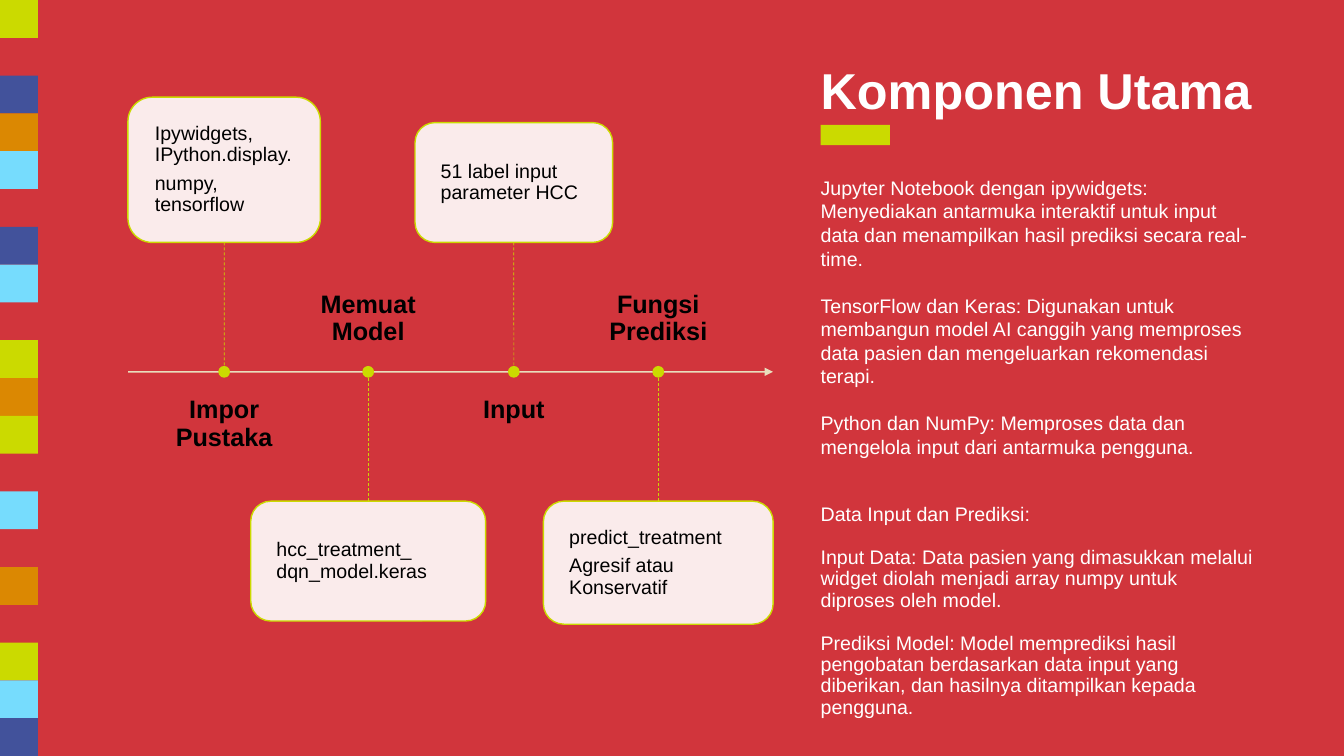
import pptx
import pptx.util
import pptx.dml.color
import pptx.enum.dml
import pptx.enum.shapes
import pptx.enum.text
import pptx.oxml
import pptx.oxml.ns
from lxml import etree

Cm, Pt = pptx.util.Cm, pptx.util.Pt
SHAPE = pptx.enum.shapes.MSO_SHAPE
ALIGN = pptx.enum.text.PP_ALIGN
ANCHOR = pptx.enum.text.MSO_ANCHOR
qn = pptx.oxml.ns.qn

# Content
COLORS = {"red": "D1353C", "lime": "CBDA00", "blue": "42529B", "orange": "DB8802",
          "cyan": "76DCFD", "cream": "ECF1CC", "white": "FFFFFF", "black": "000000"}
TITLE = "Komponen Utama"
# (text, line spacing, space before in points)
BODY = [
    ("Jupyter Notebook dengan ipywidgets: Menyediakan antarmuka interaktif untuk input "
     "data dan menampilkan hasil prediksi secara real-time.", 1.0, 0),
    ("TensorFlow dan Keras: Digunakan untuk membangun model AI canggih yang memproses "
     "data pasien dan mengeluarkan rekomendasi terapi.", 1.0, 16.8),
    ("Python dan NumPy: Memproses data dan mengelola input dari antarmuka pengguna.", 1.0, 16.8),
    ("Data Input dan Prediksi:", 0.9, 32.8),
    ("Input Data: Data pasien yang dimasukkan melalui widget diolah menjadi array numpy "
     "untuk diproses oleh model.", 0.9, 16),
    ("Prediksi Model: Model memprediksi hasil pengobatan berdasarkan data input yang "
     "diberikan, dan hasilnya ditampilkan kepada pengguna.", 0.9, 16),
]
# (label, card lines, centre x, card width, card height), cards alternate above and below
STEPS = [
    ("Impor Pustaka", ["Ipywidgets, IPython.display.", "numpy, tensorflow"], 5.65, 4.85, 3.66),
    ("Memuat Model", ["hcc_treatment_ dqn_model.keras"], 9.28, 5.92, 3.02),
    ("Input", ["51 label input parameter HCC"], 12.95, 4.98, 3.02),
    ("Fungsi Prediksi", ["predict_treatment", "Agresif atau Konservatif"], 16.59, 5.79, 3.1),
]
# None lets the background show
STRIPE = ["lime", None, "blue", "orange", "cyan", None, "blue", "cyan", None, "lime",
          "orange", "lime", None, "cyan", None, "orange", None, "lime", "cyan", "blue"]

# Layout in centimetres
SLIDE_W, SLIDE_H = 33.87, 19.05
SQUARE = SLIDE_H / len(STRIPE)
AXIS_LEFT, AXIS_RIGHT, AXIS_Y = 3.23, 19.48, 9.37
CARD_GAP, LABEL_GAP = 3.26, 0.64
LABEL_W, LABEL_H, DOT = 3.71, 1.93, 0.26
COLUMN_X, COLUMN_W = 20.68, 10.92


def rgb(name):
    return pptx.dml.color.RGBColor.from_string(COLORS[name])


def set_alpha(fill_owner, percent):
    color = next(fill_owner.iter(qn("a:srgbClr")))
    etree.SubElement(color, qn("a:alpha")).set("val", str(percent * 1000))


def write(s, paragraphs, size, color, bold=False, align=ALIGN.LEFT, anchor=ANCHOR.TOP, inset=0):
    """Fill a shape with (text, line spacing, space before) paragraphs."""
    tf = s.text_frame
    tf.word_wrap = True
    tf.auto_size = pptx.enum.text.MSO_AUTO_SIZE.NONE
    tf.vertical_anchor = anchor
    tf.margin_left = tf.margin_top = tf.margin_right = tf.margin_bottom = Cm(inset)
    for i, (text, spacing, before) in enumerate(paragraphs):
        p = tf.add_paragraph() if i else tf.paragraphs[0]
        p.alignment = align
        p.line_spacing, p.space_before, p.space_after = spacing, Pt(before), Pt(0)
        if s.is_placeholder:
            pPr = p._p.get_or_add_pPr()
            pPr.set("marL", "0")
            pPr.set("indent", "0")
            etree.SubElement(pPr, qn("a:buNone"))
        r = p.add_run()
        r.text = text
        r.font.name, r.font.size, r.font.bold = "Arial", Pt(size), bold
        r.font.color.rgb = rgb(color)


def place(s, x, y, w, h):
    s.left, s.top, s.width, s.height = Cm(x), Cm(y), Cm(w), Cm(h)


def add_shape(kind, x, y, w, h, fill, line=None):
    s = slide.shapes.add_shape(kind, Cm(x), Cm(y), Cm(w), Cm(h))
    s.shadow.inherit = False
    s.fill.solid()
    s.fill.fore_color.rgb = rgb(fill)
    if line:
        s.line.color.rgb = rgb(line)
        s.line.width = Pt(1)
    else:
        s.line.fill.background()
    return s


def add_line(x1, y1, x2, y2, color, width):
    s = slide.shapes.add_connector(pptx.enum.shapes.MSO_CONNECTOR.STRAIGHT,
                                   Cm(x1), Cm(y1), Cm(x2), Cm(y2))
    s.line.color.rgb = rgb(color)
    s.line.width = Pt(width)
    etree.SubElement(s._element.spPr, qn("a:effectLst"))
    return s


prs = pptx.Presentation()
prs.slide_width, prs.slide_height = Cm(SLIDE_W), Cm(SLIDE_H)
slide = prs.slides.add_slide(prs.slide_layouts[1])
slide.background.fill.solid()
slide.background.fill.fore_color.rgb = rgb("red")

# Colour stripe and title accent
for i, color in enumerate(STRIPE):
    if color:
        add_shape(SHAPE.RECTANGLE, 0, i * SQUARE, SQUARE, SQUARE, color)
add_shape(SHAPE.RECTANGLE, COLUMN_X, 3.15, 1.75, 0.51, "lime")

# Title and body
title, body = slide.shapes.title, slide.placeholders[1]
place(title, COLUMN_X, 1.78, COLUMN_W, 1.3)
write(title, [(TITLE, 0.8, 0)], 36, "white", bold=True)
place(body, COLUMN_X, 4.43, COLUMN_W, 14.1)
write(body, BODY, 14, "white")

# Timeline axis
axis = add_line(AXIS_LEFT, AXIS_Y, AXIS_RIGHT, AXIS_Y, "cream", 1)
set_alpha(axis.line._ln, 90)
etree.SubElement(axis.line._ln, qn("a:tailEnd")).set("type", "triangle")

# Steps: card, dashed link, dot and label
for i, (label, lines, x, w, h) in enumerate(STEPS):
    above = i % 2 == 0
    card_y = AXIS_Y - CARD_GAP - h if above else AXIS_Y + CARD_GAP
    card = add_shape(SHAPE.ROUNDED_RECTANGLE, x - w / 2, card_y, w, h, "white", "lime")
    set_alpha(card._element.spPr.find(qn("a:solidFill")), 90)
    write(card, [(text, 0.9, 5.5 if n else 0) for n, text in enumerate(lines)],
          14, "black", anchor=ANCHOR.MIDDLE, inset=0.5)

    link = add_line(x, card_y, x, AXIS_Y, "lime", 0.5)
    link.line.dash_style = pptx.enum.dml.MSO_LINE.DASH
    link.begin_connect(card, 2 if above else 0)
    add_shape(SHAPE.OVAL, x - DOT / 2, AXIS_Y - DOT / 2, DOT, DOT, "lime", "lime")

    label_y = AXIS_Y + LABEL_GAP if above else AXIS_Y - LABEL_GAP - LABEL_H
    box = slide.shapes.add_textbox(Cm(x - LABEL_W / 2), Cm(label_y), Cm(LABEL_W), Cm(LABEL_H))
    write(box, [(label, 0.9, 0)], 18, "black", bold=True, align=ALIGN.CENTER,
          anchor=ANCHOR.TOP if above else ANCHOR.BOTTOM)

prs.save("out.pptx")
